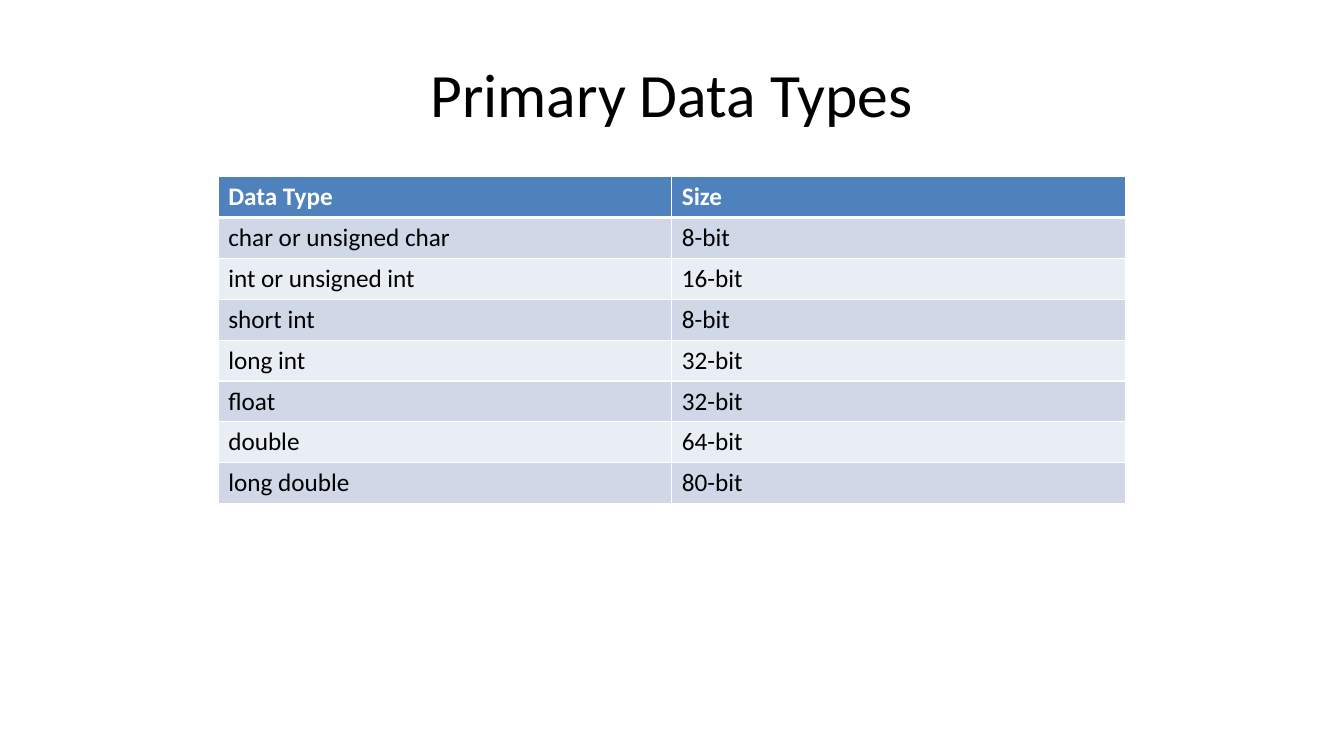
import pptx
import pptx.dml.color
import pptx.enum.text
import pptx.oxml
import pptx.oxml.ns
import pptx.util
from pptx.util import Cm

FONT = "Calibri"
WHITE, BLACK = "FFFFFF", "000000"
HEADER_FILL = "4F81BD"
BAND_FILLS = ("D0D8E8", "E9EDF4")
ROW_HEIGHT = Cm(1.03)
COLUMN_WIDTH = Cm(11.43)

DATA_TYPES = [
    ("Data Type", "Size"),
    ("char or unsigned char", "8-bit"),
    ("int or unsigned int", "16-bit"),
    ("short int", "8-bit"),
    ("long int", "32-bit"),
    ("float", "32-bit"),
    ("double", "64-bit"),
    ("long double", "80-bit"),
]


def color(hex_value):
    return pptx.dml.color.RGBColor.from_string(hex_value)


def write_text(frame, text, hex_value, **font_format):
    """Put one run of text in the frame's first paragraph and return the paragraph."""
    para = frame.paragraphs[0]
    span = para.add_run()
    span.text = text
    span.font.color.rgb = color(hex_value)
    for name, value in {"name": FONT, **font_format}.items():
        setattr(span.font, name, value)
    return para


def add_title(page, text):
    box = page.shapes.add_textbox(Cm(1.69), Cm(0.76), Cm(30.48), Cm(3.18))
    frame = box.text_frame
    frame.word_wrap = True
    frame.vertical_anchor = pptx.enum.text.MSO_ANCHOR.MIDDLE
    para = write_text(frame, text, BLACK, size=pptx.util.Pt(44))
    para.alignment = pptx.enum.text.PP_ALIGN.CENTER


def set_borders(cell, widths):
    """Draw white cell borders; widths maps each side (L, R, T, B) to points."""
    properties = cell._tc.get_or_add_tcPr()
    for side, width in widths.items():
        properties.append(pptx.oxml.parse_xml(
            f'<a:ln{side} {pptx.oxml.ns.nsdecls("a")} w="{pptx.util.Pt(width)}">'
            f'<a:solidFill><a:srgbClr val="{WHITE}"/></a:solidFill></a:ln{side}>'
        ))


def fill_cell(cell, text, row_index):
    header = row_index == 0
    set_borders(cell, {
        "L": 1,
        "R": 1,
        "T": 3 if row_index == 1 else 1,
        "B": 3 if header else 1,
    })
    cell.fill.solid()
    cell.fill.fore_color.rgb = color(
        HEADER_FILL if header else BAND_FILLS[(row_index - 1) % 2])
    write_text(cell.text_frame, text, WHITE if header else BLACK,
               size=pptx.util.Pt(18), bold=header)


def add_type_table(page, rows):
    column_count = len(rows[0])
    table = page.shapes.add_table(
        len(rows), column_count, Cm(5.5), Cm(4.45),
        COLUMN_WIDTH * column_count, ROW_HEIGHT * len(rows)).table
    for row_index, row in enumerate(rows):
        for column_index, text in enumerate(row):
            fill_cell(table.cell(row_index, column_index), text, row_index)


def main():
    deck = pptx.Presentation()
    deck.slide_width, deck.slide_height = Cm(33.87), Cm(19.05)
    page = deck.slides.add_slide(deck.slide_layouts[6])
    add_title(page, "Primary Data Types")
    add_type_table(page, DATA_TYPES)
    deck.save("out.pptx")


if __name__ == "__main__":
    main()
